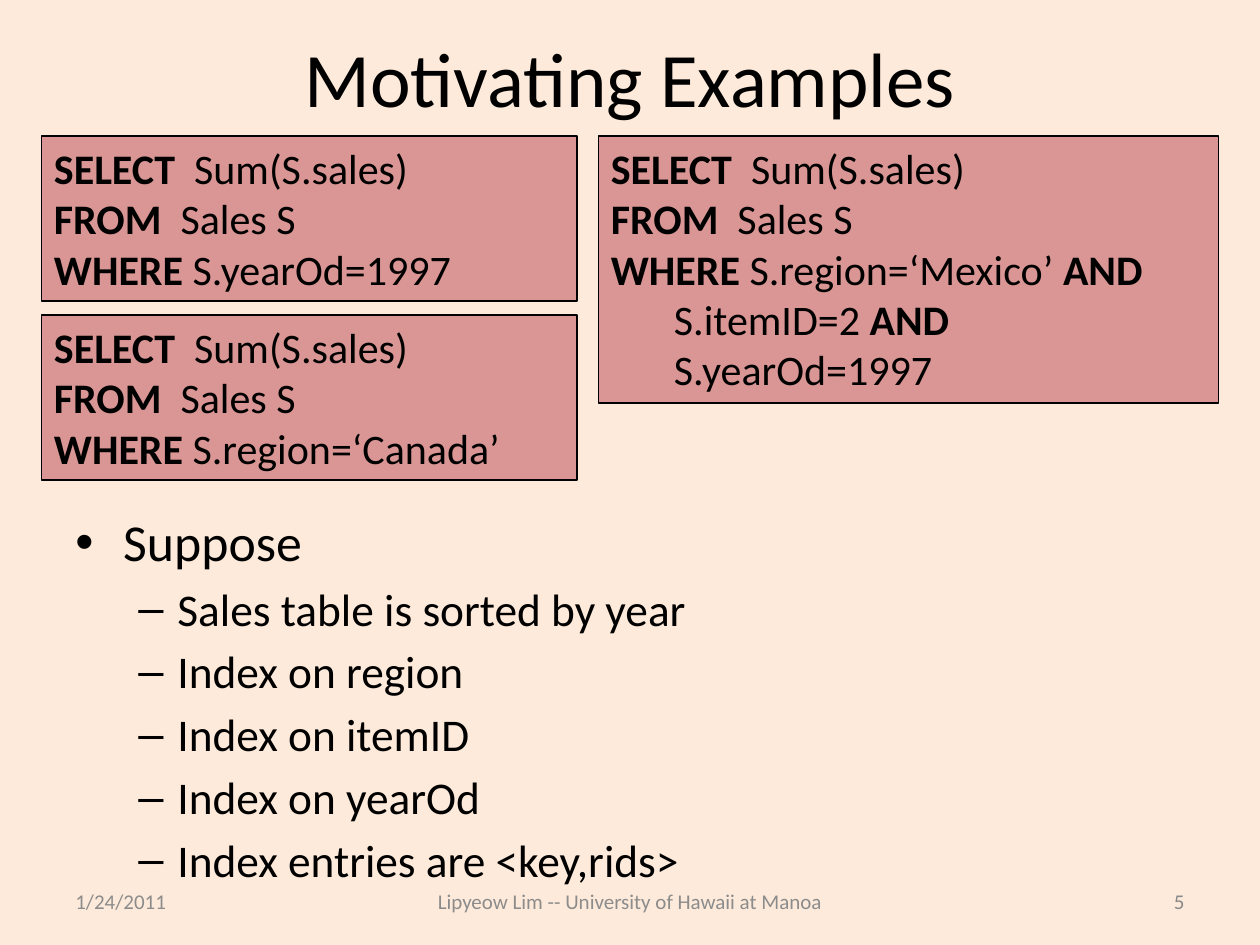
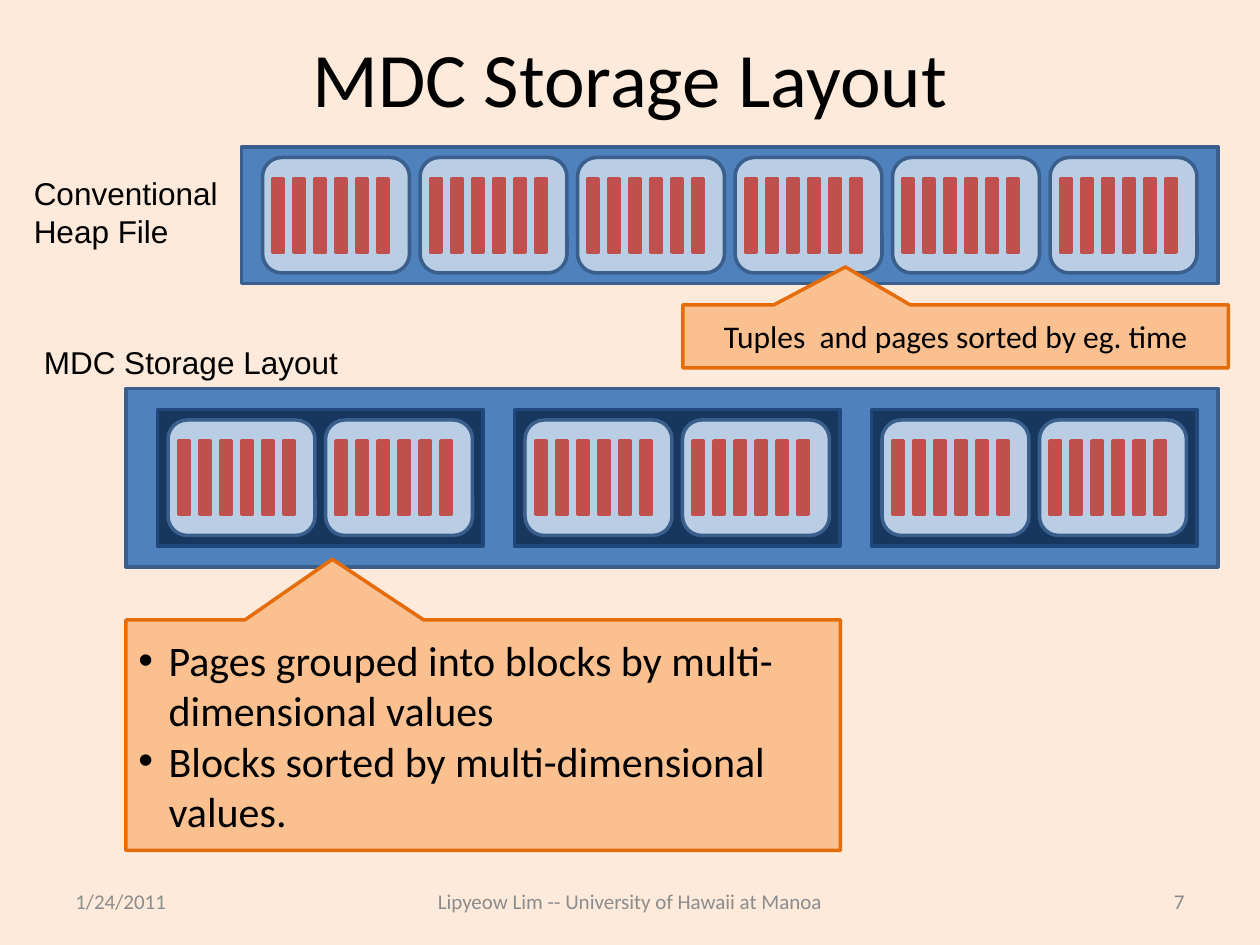
from lxml import etree
from pptx import Presentation
from pptx.dml.color import RGBColor
from pptx.enum.shapes import MSO_SHAPE
from pptx.enum.text import MSO_ANCHOR, PP_ALIGN
from pptx.oxml.ns import qn
from pptx.util import Inches, Pt

RECT, ROUND = MSO_SHAPE.RECTANGLE, MSO_SHAPE.ROUNDED_RECTANGLE
CALLOUT = MSO_SHAPE.RECTANGULAR_CALLOUT
TOP, MIDDLE = MSO_ANCHOR.TOP, MSO_ANCHOR.MIDDLE
LEFT, CENTER, RIGHT = PP_ALIGN.LEFT, PP_ALIGN.CENTER, PP_ALIGN.RIGHT

CREAM = RGBColor(0xFD, 0xEA, 0xDA)
BLACK = RGBColor(0, 0, 0)
GREY = RGBColor(0x8C, 0x8C, 0x8C)
DIM = RGBColor(0x89, 0x89, 0x89)
ROSE = RGBColor(0xD9, 0x96, 0x94)
BLUE = RGBColor(0x4F, 0x81, 0xBD)
EDGE = RGBColor(0x3A, 0x5F, 0x8C)
PALE = RGBColor(0xB9, 0xCD, 0xE5)
RED = RGBColor(0xC0, 0x50, 0x4D)
NAVY = RGBColor(0x17, 0x37, 0x5E)
DEEP = RGBColor(0x1F, 0x49, 0x7D)
PEACH = RGBColor(0xFA, 0xC0, 0x90)
ORANGE = RGBColor(0xE4, 0x6C, 0x0A)

DATE = "1/24/2011"
AUTHOR = "Lipyeow Lim -- University of Hawaii at Manoa"

HEAD = [[("SELECT  ", True), ("Sum(S.sales)", False)],
        [("FROM  ", True), ("Sales S", False)]]
QUERIES = [
    ((4.75, 1.08, 4.92, 2.12), [
        [("WHERE ", True), ("S.region=‘Mexico’ ", False), ("AND", True)],
        [("\tS.itemID=2 ", False), ("AND", True)],
        [("\tS.yearOd=1997", False)]]),
    ((0.33, 1.08, 4.25, 1.31), [[("WHERE ", True), ("S.yearOd=1997", False)]]),
    ((0.33, 2.5, 4.25, 1.31), [[("WHERE ", True), ("S.region=‘Canada’", False)]]),
]
SUPPOSE = "Suppose"
FACTS = ["Sales table is sorted by year", "Index on region", "Index on itemID",
         "Index on yearOd", "Index entries are <key,rids>"]

LABELS = [((0.17, 1.33, 1.67, 0.71), ["Conventional", "Heap File"]),
          ((0.25, 2.67, 2.56, 0.4), ["MDC Storage Layout"])]
SORTED = "Tuples  and pages sorted by eg. time"
NOTES = ["Pages grouped into blocks by multi-dimensional values",
         "Blocks sorted by multi-dimensional values."]

UNIT = 1 / 12
PAGES, BLOCKS, BARS = 6, 3, 6
PAGE_STEP, BLOCK_STEP, BAR_STEP = 15, 34, 2


def add_run(para, text, size, color=BLACK, font="Calibri", bold=False):
    run = para.add_run()
    run.text = text
    run.font.name, run.font.size, run.font.bold = font, Pt(size), bold
    run.font.color.rgb = color


def next_para(frame):
    first = frame.paragraphs[0]
    return frame.add_paragraph() if first.runs else first


def add_line(frame, text, size, align=LEFT, **look):
    para = next_para(frame)
    para.alignment = align
    add_run(para, text, size, **look)
    return para


def add_bullet(frame, text, size, mark, margin, hang, gap=0):
    para = add_line(frame, text, size)
    props = para._p.get_or_add_pPr()
    props.set("marL", str(Inches(margin)))
    props.set("indent", str(Inches(-hang)))
    etree.SubElement(props, qn("a:buFont")).set("typeface", "Arial")
    etree.SubElement(props, qn("a:buChar")).set("char", mark)
    if gap:
        para.space_before = Pt(gap)


def add_box(slide, place, anchor=MIDDLE, wrap=True):
    frame = slide.shapes.add_textbox(*map(Inches, place)).text_frame
    frame.word_wrap, frame.vertical_anchor = wrap, anchor
    return frame


def add_form(slide, kind, place, fill, line, width=2):
    form = slide.shapes.add_shape(kind, *map(Inches, place))
    form.shadow.inherit = False
    form.fill.solid()
    form.fill.fore_color.rgb = fill
    form.line.color.rgb = line
    form.line.width = Pt(width)
    return form


def add_call(slide, place, tip):
    call = add_form(slide, CALLOUT, place, PEACH, ORANGE)
    call.adjustments[0], call.adjustments[1] = tip
    frame = call.text_frame
    frame.word_wrap, frame.vertical_anchor = True, MIDDLE
    return frame


def add_cell(slide, kind, grid, fill, line):
    add_form(slide, kind, [n * UNIT for n in grid], fill, line)


def add_page(slide, left, top):
    add_cell(slide, ROUND, (left, top, 14, 11), PALE, EDGE)
    for i in range(BARS):
        add_cell(slide, RECT, (left + 1 + i * BAR_STEP, top + 2, 1, 7), RED, RED)


def start_slide(deck, title, number):
    slide = deck.slides.add_slide(deck.slide_layouts[6])
    slide.background.fill.solid()
    slide.background.fill.fore_color.rgb = CREAM
    add_line(add_box(slide, (0.5, 0.3, 9, 0.62)), title, 44, CENTER)
    for left, width, text, align, color in (
            (0.5, 2.33, DATE, LEFT, GREY), (3, 4, AUTHOR, CENTER, GREY),
            (7.17, 2.33, number, RIGHT, DIM)):
        add_line(add_box(slide, (left, 6.95, width, 0.4)), text, 12, align, color=color)
    return slide


def build_queries(deck):
    slide = start_slide(deck, "Motivating Examples", "5")
    frame = add_box(slide, (0.5, 4, 9, 2.75), TOP)
    add_bullet(frame, SUPPOSE, 29.6, "•", 0.38, 0.38)
    for fact in FACTS:
        add_bullet(frame, fact, 25.9, "–", 0.81, 0.31, 4.8)
    for place, where in QUERIES:
        frame = add_form(slide, RECT, place, ROSE, BLACK, 1).text_frame
        frame.word_wrap, frame.vertical_anchor = True, TOP
        for parts in HEAD + where:
            para = next_para(frame)
            para.alignment = LEFT
            for text, bold in parts:
                add_run(para, text, 24, bold=bold)


def build_layout(deck):
    slide = start_slide(deck, "MDC Storage Layout", "7")
    add_cell(slide, RECT, (23, 14, 93, 13), BLUE, EDGE)
    for i in range(PAGES):
        add_page(slide, 25 + i * PAGE_STEP, 15)
    frame = add_call(slide, (5.42, 2.42, 4.33, 0.5), (-0.202, -1.102))
    add_line(frame, SORTED, 18, CENTER)

    add_cell(slide, RECT, (12, 37, 104, 17), BLUE, EDGE)
    for i in range(BLOCKS):
        left = 15 + i * BLOCK_STEP
        add_cell(slide, RECT, (left, 39, 31, 13), NAVY, DEEP)
        for j in range(PAGES // BLOCKS):
            add_page(slide, left + 1 + j * PAGE_STEP, 40)
    frame = add_call(slide, (1, 4.92, 5.67, 1.83), (-0.211, -0.763))
    for note in NOTES:
        add_bullet(frame, note, 24, "•", 0.24, 0.24)

    for place, lines in LABELS:
        frame = add_box(slide, place, TOP, False)
        for text in lines:
            add_line(frame, text, 18, font="Arial")


def main():
    deck = Presentation()
    deck.slide_width, deck.slide_height = Inches(10), Inches(7.5)
    build_queries(deck)
    build_layout(deck)
    deck.save("out.pptx")


if __name__ == "__main__":
    main()
